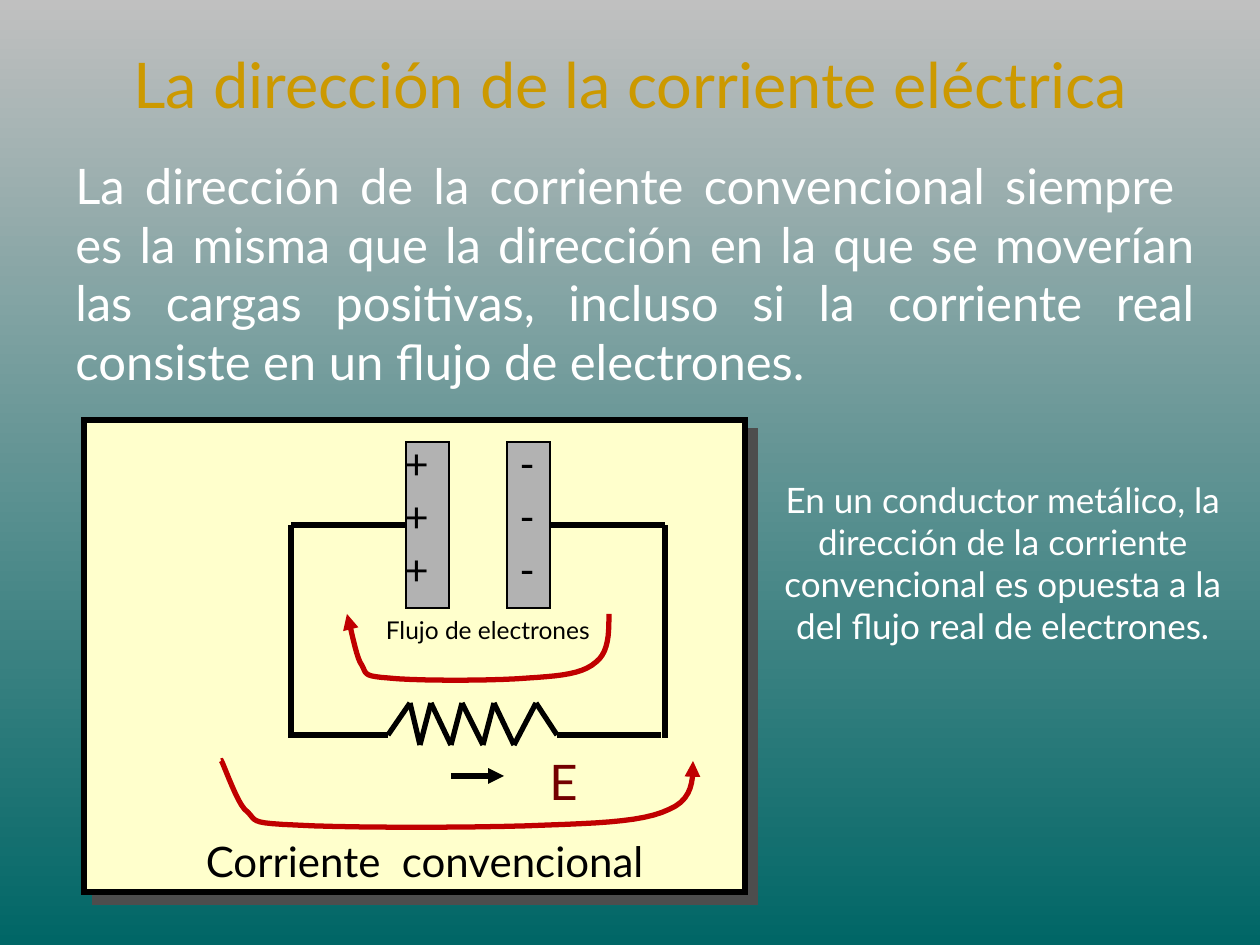
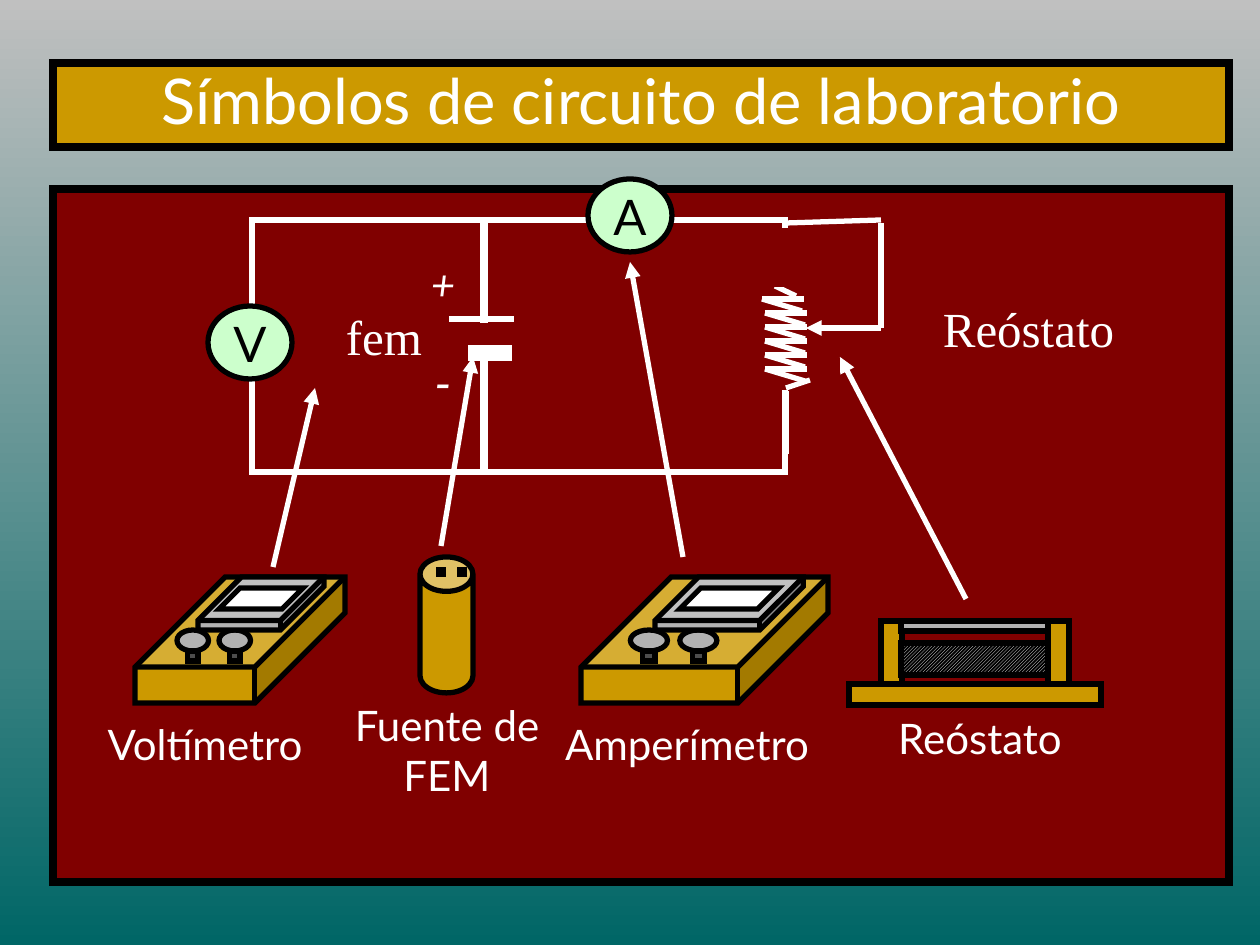
from dataclasses import dataclass
from itertools import pairwise

from lxml.etree import SubElement
from pptx import Presentation
from pptx.dml.color import RGBColor
from pptx.enum.dml import MSO_PATTERN_TYPE as Pattern
from pptx.enum.shapes import MSO_CONNECTOR as Link, MSO_SHAPE as Form
from pptx.enum.text import MSO_ANCHOR as Anchor, PP_ALIGN as Align
from pptx.oxml.ns import qn
from pptx.util import Pt

EMU_PER_PX = 914400 / 126
LEFT_SIDE, RIGHT_SIDE = 1, 3


@dataclass(frozen=True)
class Theme:
    sky: str = "C0C0C0"
    teal: str = "006666"
    gold: str = "CC9900"
    white: str = "FFFFFF"
    black: str = "000000"
    cream: str = "FFFFCC"
    grey: str = "B2B2B2"
    dark_grey: str = "4D4D4D"
    red: str = "C00000"
    field_red: str = "730000"
    maroon: str = "800000"
    mint: str = "CCFFCC"
    font: str = "Lato"
    serif: str = "Times New Roman"
    title: int = 36
    body: int = 28
    label: int = 24
    remark: int = 20
    small: int = 14
    hairline: float = 0.75
    wire: int = 3
    frame: float = 4.5


T = Theme()


def px(*lengths):
    return [round(length * EMU_PER_PX) for length in lengths]


def rgb(color):
    return RGBColor.from_string(color)


# --- Kinds of element ---

def new_slide(deck):
    slide = deck.slides.add_slide(deck.slide_layouts[6])
    backdrop = slide.background.fill
    backdrop.gradient()
    backdrop.gradient_angle = 270
    for stop, color in zip(backdrop.gradient_stops, (T.sky, T.teal)):
        stop.color.rgb = rgb(color)
    return slide


def write(frame, content, size=T.label, color=T.white, font=T.font,
          align=Align.CENTER, anchor=Anchor.TOP, italic=False, spacing=None):
    frame.word_wrap = True
    frame.vertical_anchor = anchor
    paragraph = frame.paragraphs[0]
    paragraph.alignment = align
    if spacing:
        paragraph.line_spacing = spacing
    run = paragraph.add_run()
    run.text = content
    run.font.name, run.font.size = font, Pt(size)
    run.font.color.rgb = rgb(color)
    run.font.italic = italic


def text(slide, content, box, **style):
    write(slide.shapes.add_textbox(*px(*box)).text_frame, content, **style)


def heading(frame, content, color):
    write(frame, content, size=T.title, color=color, anchor=Anchor.MIDDLE, spacing=0.85)


def stroke(shape, color, width, head=None):
    shape.line.color.rgb = rgb(color)
    shape.line.width = Pt(width)
    outline = shape.element.spPr.find(qn("a:ln"))
    SubElement(outline, qn("a:miter"), lim="800000")
    if head:
        SubElement(outline, qn(f"a:{head}"), type="triangle")


def block(slide, form, box, fill=None, line=T.black, width=T.wire, adjust=None):
    shape = slide.shapes.add_shape(form, *px(*box))
    shape.shadow.inherit = False
    if adjust is not None:
        shape.adjustments[0] = adjust
    if fill:
        shape.fill.solid()
        shape.fill.fore_color.rgb = rgb(fill)
    else:
        shape.fill.background()
    if line:
        stroke(shape, line, width)
    else:
        shape.line.fill.background()
    return shape


def wire(slide, start, end, color=T.black, width=T.wire, arrow=False):
    link = slide.shapes.add_connector(Link.STRAIGHT, *px(*start, *end))
    stroke(link, color, width, "tailEnd" if arrow else None)
    SubElement(link.element.spPr, qn("a:effectLst"))
    return link


def hard_shadow(shape, color, distance):
    effects = shape.element.spPr.find(qn("a:effectLst"))
    shadow = SubElement(effects, qn("a:outerShdw"), blurRad="0", dist=str(Pt(distance)),
                        dir="2700000", algn="ctr", rotWithShape="0")
    SubElement(shadow, qn("a:srgbClr"), val=color)


def flow_arrow(slide, left, top, width, height, head):
    """Draws the U-shaped flow from right to left, with one arrowhead."""
    start = (1, 0.07)
    curves = [((1, 0.33), (1, 0.6), (0.95, 0.74)),
              ((0.9, 0.9), (0.82, 0.93), (0.69, 0.96)),
              ((0.56, 1), (0.26, 1), (0.16, 0.96)),
              ((0.05, 0.93), (0.08, 0.9), (0.05, 0.74)),
              ((0.03, 0.6), (0, 0), (0, 0.07))]
    steps, points = 10, [start]
    for curve in curves:
        corners = (points[-1], *curve)
        for step in range(1, steps + 1):
            t = step / steps
            weights = ((1 - t) ** 3, 3 * t * (1 - t) ** 2, 3 * t * t * (1 - t), t ** 3)
            points.append(tuple(sum(w * c[axis] for w, c in zip(weights, corners))
                                for axis in (0, 1)))
    track = [px(left + x * width, top + y * height) for x, y in points]
    builder = slide.shapes.build_freeform(*track[0])
    builder.add_line_segments(track[1:], close=False)
    flow = builder.convert_to_shape()
    flow.shadow.inherit = False
    flow.fill.background()
    stroke(flow, T.red, T.wire, head)


def device_label(slide, content, center, top, width=284):
    text(slide, content, (center - width // 2, top, width, 63))


def meter(slide, name, left, width, label_center):
    def part(form, x, top, w, height, fill, adjust=None):
        block(slide, form, (left + x * width, top, w * width, height), fill, adjust=adjust)

    part(Form.CUBE, 0, 577, 1, 126, T.gold, 0.715)
    for knob in (0.2, 0.4):
        part(Form.OVAL, knob, 630, 0.15, 21, T.grey)
    for post in (0.25, 0.45):
        part(Form.RECTANGLE, post, 651, 0.05, 10, T.dark_grey)
    part(Form.CUBE, 0.3, 577, 0.6, 53, T.grey, 0.821)
    part(Form.PARALLELOGRAM, 0.4, 588, 0.4, 21, T.white, 1)
    device_label(slide, name, label_center, 712)


def meter_symbol(slide, letter, left, top):
    symbol = block(slide, Form.OVAL, (left, top, 84, 73), T.mint)
    frame = symbol.text_frame
    frame.margin_left = frame.margin_right = frame.margin_top = frame.margin_bottom = 0
    write(frame, letter, size=T.body, color=T.black, anchor=Anchor.MIDDLE)


# --- Slide 1 ---

def circuit(slide):
    card = block(slide, Form.RECTANGLE, (84, 420, 661, 472), T.cream)
    hard_shadow(card, T.dark_grey, 8.5)

    # Battery plates, charges and side wires
    for sign, plate_left, sign_left, wire_x, side in (
            ("+", 406, 392, 291, LEFT_SIDE), ("-", 507, 507, 665, RIGHT_SIDE)):
        plate = block(slide, Form.RECTANGLE, (plate_left, 442, 43, 166), T.grey,
                      width=T.hairline)
        wire(slide, (wire_x, 525), (plate_left, 525)).end_connect(plate, side)
        wire(slide, (wire_x, 525), (wire_x, 738))
        for row in range(3):
            text(slide, sign, (sign_left, 431 + 53 * row, 72, 70), color=T.black,
                 align=Align.LEFT)

    # Resistor between two straight leads
    peaks, valleys = (410, 431, 462, 494, 536), (420, 451, 483, 514)
    zigzag = sorted([(x, 703) for x in peaks] + [(x, 745) for x in valleys])
    for start, end in pairwise([(294, 735), (388, 735), *zigzag, (557, 735), (661, 735)]):
        wire(slide, start, end)

    # Flows and field
    text(slide, "Flujo de electrones", (357, 609, 262, 43), size=T.small, color=T.black)
    flow_arrow(slide, 347, 609, 262, 72, "tailEnd")
    wire(slide, (451, 776), (504, 776), arrow=True)
    text(slide, "E", (529, 745, 69, 72), size=T.body, color=T.field_red)
    flow_arrow(slide, 221, 756, 472, 72, "headEnd")
    text(slide, "Corriente  convencional", (94, 829, 661, 63), color=T.black)


def current_direction(deck):
    slide = new_slide(deck)
    title = slide.shapes.add_textbox(*px(42, 0, 1176, 179))
    heading(title.text_frame, "La dirección de la corriente eléctrica", T.gold)
    text(slide, "La dirección de la corriente convencional siempre  es la misma que la "
         "dirección en la que se moverían las cargas positivas, incluso si la corriente "
         "real consiste en un flujo de electrones.",
         (63, 149, 1144, 251), size=T.body, align=Align.JUSTIFY)
    circuit(slide)
    text(slide, "En un conductor metálico, la dirección de la corriente convencional es "
         "opuesta a la del flujo real de electrones.", (756, 472, 494, 183), size=T.remark)


# --- Slide 2 ---

def rheostat_device(slide):
    block(slide, Form.RECTANGLE, (849, 684, 252, 21), T.gold)
    for leg in (881, 1048):
        block(slide, Form.RECTANGLE, (leg, 621, 21, 63), T.gold)
    block(slide, Form.RECTANGLE, (901, 621, 147, 10), T.grey)
    coil = block(slide, Form.RECTANGLE, (901, 643, 147, 32))
    coil.fill.patterned()
    coil.fill.pattern = Pattern.DARK_UPWARD_DIAGONAL
    coil.fill.fore_color.rgb = rgb(T.white)
    coil.fill.back_color.rgb = rgb(T.black)
    device_label(slide, "Reóstato", 980, 706)


def emf_device(slide):
    block(slide, Form.CAN, (420, 557, 53, 136), T.gold, adjust=0.65)
    for terminal in (441, 462):
        wire(slide, (terminal, 567), (terminal, 577), width=6)
    device_label(slide, "Fuente de FEM", 447, 693, width=220)


def rheostat_symbol(slide):
    text(slide, "Reóstato", (912, 292, 233, 72), size=T.body, font=T.serif)
    block(slide, Form.RECTANGLE, (744, 285, 73, 105), T.maroon, line=None)
    first_turn = 299
    for y in range(first_turn, 370, 14):
        x = 762 if y == first_turn else 765
        wire(slide, (x, y), (x + 42, y), T.white)
        wire(slide, (x, y), (x + 40, y + 12), T.white)
    for start, end in (((786, 388), (810, 380)), ((796, 296), (775, 286)),
                       ((786, 391), (786, 454))):
        wire(slide, start, end, T.white)
    block(slide, Form.RECTANGLE, (733, 231, 84, 53), T.maroon, T.maroon)
    # Sliding contact
    wire(slide, (786, 223), (881, 220), T.white)
    wire(slide, (881, 223), (881, 328), T.white)
    wire(slide, (881, 328), (806, 328), T.white, arrow=True)


def emf_symbol(slide):
    text(slide, "fem", (284, 300, 200, 72), size=T.body, font=T.serif)
    text(slide, "-", (410, 346, 66, 72), size=T.body, italic=True)
    text(slide, "+", (410, 252, 66, 63), italic=True)
    block(slide, Form.RECTANGLE, (469, 346, 42, 14), T.white, T.white, T.hairline)
    wire(slide, (449, 319), (514, 319), T.white)
    block(slide, Form.RECTANGLE, (471, 326, 40, 16), T.maroon, T.maroon)


def circuit_symbols(deck):
    slide = new_slide(deck)
    block(slide, Form.RECTANGLE, (53, 189, 1176, 693), T.maroon, width=T.frame)
    banner = block(slide, Form.RECTANGLE, (53, 63, 1176, 84), T.gold, width=T.frame)
    heading(banner.text_frame, "Símbolos de circuito de laboratorio", T.white)

    # Laboratory devices
    meter(slide, "Amperímetro", 581, 247, 687)
    meter(slide, "Voltímetro", 135, 210, 205)
    rheostat_device(slide)
    emf_device(slide)

    # Circuit diagram, with an arrow from each device to its symbol
    block(slide, Form.RECTANGLE, (483, 220, 302, 252), line=T.white)
    rheostat_symbol(slide)
    meter_symbol(slide, "A", 588, 179)
    for device, symbol in (((441, 546), (473, 357)), ((273, 567), (315, 388)),
                           ((683, 557), (630, 262)), ((966, 599), (840, 357))):
        wire(slide, device, symbol, T.white, arrow=True)
    block(slide, Form.RECTANGLE, (252, 220, 233, 252), line=T.white)
    meter_symbol(slide, "V", 208, 306)
    emf_symbol(slide)


def main():
    deck = Presentation()
    deck.slide_width, deck.slide_height = px(1260, 945)
    current_direction(deck)
    circuit_symbols(deck)
    deck.save("out.pptx")


if __name__ == "__main__":
    main()
